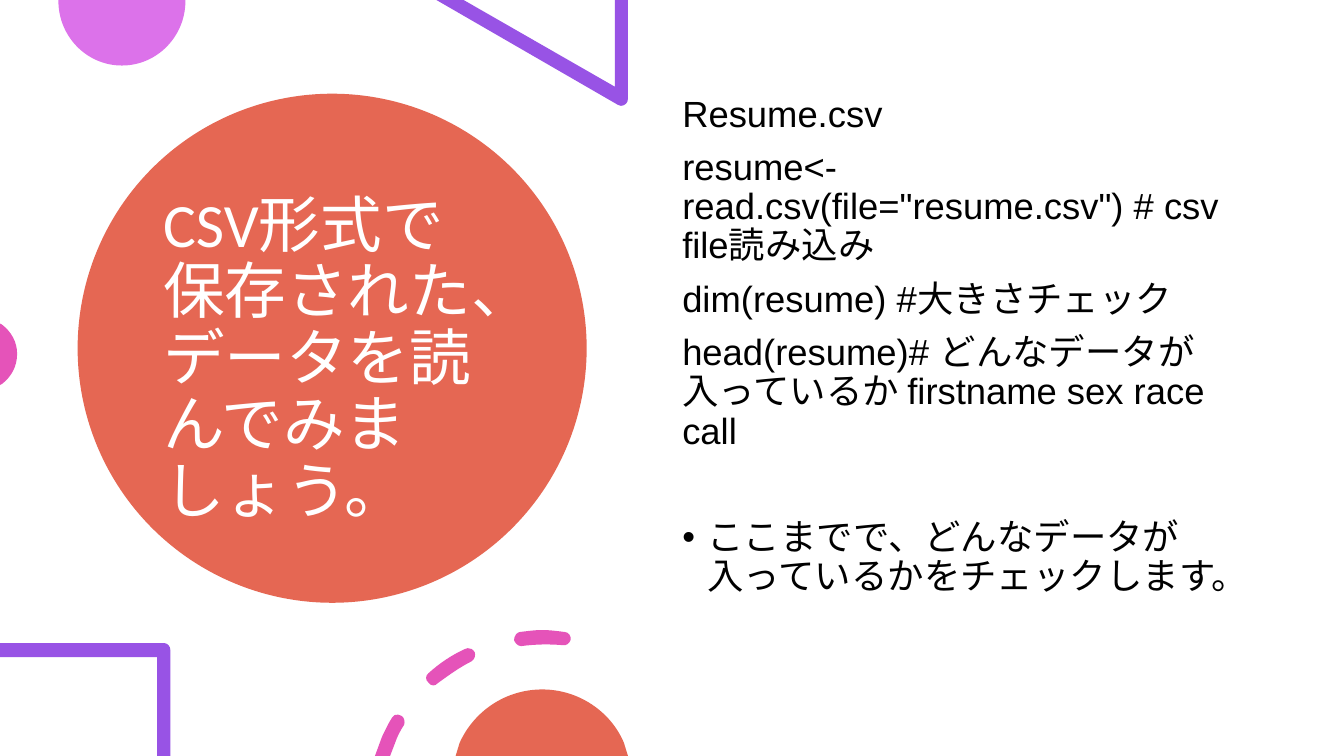
from dataclasses import dataclass

import pptx
import pptx.dml.color
import pptx.enum.lang
import pptx.enum.shapes
import pptx.enum.text
import pptx.util
from lxml import etree
from pptx.oxml import ns

Inches, Pt = pptx.util.Inches, pptx.util.Pt
RGBColor = pptx.dml.color.RGBColor
ANCHOR = pptx.enum.text.MSO_ANCHOR
SHAPE = pptx.enum.shapes.MSO_SHAPE

ORANGE = RGBColor(0xE5, 0x67, 0x53)
ORCHID = RGBColor(0xDC, 0x72, 0xEA)
PURPLE = RGBColor(0x98, 0x53, 0xE5)
PINK = RGBColor(0xE5, 0x53, 0xB9)
WHITE = RGBColor(0xFF, 0xFF, 0xFF)
BLACK = RGBColor(0, 0, 0)

# A contour is a start point followed by lines (x, y)
# and cubic curves (x1, y1, x2, y2, x, y), in inches.
Contour = list[tuple[float, ...]]


@dataclass
class Outline:
    color: RGBColor
    contours: list[Contour]


@dataclass
class Para:
    text: str
    size: float
    font: str
    color: RGBColor
    before: float = 0
    bullet: bool = False


def paint(sp, color: RGBColor) -> None:
    sp.shadow.inherit = False
    sp.fill.solid()
    sp.fill.fore_color.rgb = color
    sp.line.fill.background()


def add_preset(slide, kind, box: tuple[float, ...], color: RGBColor) -> None:
    paint(slide.shapes.add_shape(kind, *map(Inches, box)), color)


def add_outline(slide, outline: Outline) -> None:
    first, *rest = [[(Inches(seg[-2]), Inches(seg[-1])) for seg in contour]
                    for contour in outline.contours]
    builder = slide.shapes.build_freeform(*first[0])
    builder.add_line_segments(first[1:], close=True)
    for points in rest:
        builder.move_to(*points[0])
        builder.add_line_segments(points[1:], close=True)
    sp = builder.convert_to_shape()
    paint(sp, outline.color)
    bend_segments(sp, [seg for contour in outline.contours
                       for seg in contour[1:]])


def bend_segments(sp, segments: Contour) -> None:
    """Give the segments that have control points their curves."""
    lines = list(sp._element.iter(ns.qn("a:lnTo")))
    for line, seg in zip(lines, segments):
        if len(seg) == 2:
            continue
        line.tag = ns.qn("a:cubicBezTo")
        for i in (0, 2):
            pt = etree.Element(ns.qn("a:pt"),
                               x=str(Inches(seg[i]) - sp.left),
                               y=str(Inches(seg[i + 1]) - sp.top))
            line.insert(i // 2, pt)


def add_text(slide, box: tuple[float, ...], paras: list[Para], anchor) -> None:
    tf = slide.shapes.add_textbox(*map(Inches, box)).text_frame
    tf.word_wrap = True
    tf.vertical_anchor = anchor
    for i, para in enumerate(paras):
        p = tf.add_paragraph() if i else tf.paragraphs[0]
        r = p.add_run()
        r.text = para.text
        r.font.language_id = pptx.enum.lang.MSO_LANGUAGE_ID.JAPANESE
        p.line_spacing = 0.9
        p.space_before = Pt(para.before)
        p.font.size = Pt(para.size)
        p.font.name = para.font
        p.font.color.rgb = para.color
        if para.bullet:
            add_bullet(p)


def add_bullet(p) -> None:
    pPr = p._p.get_or_add_pPr()
    pPr.set("marL", str(Inches(0.25)))
    pPr.set("indent", str(Inches(-0.25)))
    defRPr = pPr.find(ns.qn("a:defRPr"))
    defRPr.addprevious(etree.Element(ns.qn("a:buFont"), typeface="Arial"))
    defRPr.addprevious(etree.Element(ns.qn("a:buChar"), char="•"))


TOP_DISC = Outline(ORCHID, [[
    (1.84, 0), (0.58, 0), (0.58, 0.01),
    (0.58, 0.36, 0.86, 0.65, 1.21, 0.65),
    (1.56, 0.65, 1.84, 0.36, 1.84, 0.01)]])
TRIANGLE = Outline(PURPLE, [[
    (6.23, 0), (6.1, 0), (6.1, 0.86), (4.6, 0), (4.33, 0), (6.13, 1.04),
    (6.14, 1.05, 6.15, 1.05, 6.16, 1.05),
    (6.2, 1.05, 6.23, 1.02, 6.23, 0.98)]])
LEFT_DISC = Outline(PINK, [[
    (0, 3.21), (0, 3.82), (0.02, 3.81),
    (0.11, 3.74, 0.17, 3.64, 0.17, 3.51),
    (0.17, 3.39, 0.11, 3.29, 0.02, 3.22)]])
SQUARE = Outline(PURPLE, [[
    (1.63, 6.38), (0, 6.38), (0, 6.52), (1.56, 6.52), (1.56, 7.5),
    (1.69, 7.5), (1.69, 6.45),
    (1.69, 6.41, 1.66, 6.38, 1.63, 6.38)]])
DASHED_ARC = Outline(PINK, [
    [(3.95, 7.09),
     (3.93, 7.08, 3.9, 7.1, 3.89, 7.12),
     (3.85, 7.18, 3.82, 7.25, 3.79, 7.31),
     (3.72, 7.5), (3.87, 7.5), (3.92, 7.37),
     (3.94, 7.31, 3.97, 7.25, 4.01, 7.19),
     (4.02, 7.16, 4.01, 7.11, 3.98, 7.1),
     (3.97, 7.09, 3.96, 7.09, 3.95, 7.09)],
    [(4.64, 6.43),
     (4.63, 6.43, 4.62, 6.43, 4.61, 6.44),
     (4.48, 6.5, 4.36, 6.58, 4.25, 6.68),
     (4.22, 6.7, 4.22, 6.75, 4.25, 6.77),
     (4.26, 6.79, 4.28, 6.8, 4.3, 6.8),
     (4.32, 6.8, 4.33, 6.79, 4.34, 6.78),
     (4.45, 6.7, 4.56, 6.62, 4.68, 6.56),
     (4.71, 6.54, 4.72, 6.5, 4.71, 6.47),
     (4.69, 6.44, 4.67, 6.43, 4.64, 6.43)],
    [(5.38, 6.25),
     (5.31, 6.25, 5.24, 6.26, 5.16, 6.27),
     (5.13, 6.27, 5.1, 6.31, 5.1, 6.35),
     (5.11, 6.38, 5.14, 6.41, 5.17, 6.41),
     (5.32, 6.39, 5.45, 6.39, 5.58, 6.4),
     (5.62, 6.41, 5.65, 6.38, 5.66, 6.35),
     (5.67, 6.31, 5.64, 6.27, 5.6, 6.27),
     (5.53, 6.26, 5.45, 6.25, 5.38, 6.25)]])
BOTTOM_DISC = Outline(ORANGE, [[
    (5.38, 6.84),
    (5.01, 6.84, 4.7, 7.06, 4.56, 7.37),
    (4.52, 7.5), (6.23, 7.5), (6.19, 7.37),
    (6.06, 7.06, 5.74, 6.84, 5.38, 6.84)]])
OUTLINES = [TOP_DISC, TRIANGLE, LEFT_DISC, SQUARE, DASHED_ARC, BOTTOM_DISC]

TITLE = Para("CSV形式で保存された、データを読んでみましょう。", 44, "Calibri", WHITE)
CODE_LINES = [
    "Resume.csv",
    'resume<-read.csv(file="resume.csv") # csv file読み込み',
    "dim(resume) #大きさチェック",
    "head(resume)# どんなデータが入っているか firstname sex race call",
]
SUMMARY = "ここまでで、どんなデータが入っているかをチェックします。"


def main() -> None:
    prs = pptx.Presentation()
    width, height = 40 / 3, 7.5
    prs.slide_width, prs.slide_height = Inches(width), Inches(height)
    slide = prs.slides.add_slide(prs.slide_layouts[6])

    # White panel, and the title on its large circle
    add_preset(slide, SHAPE.RECTANGLE, (0, 0, width, height), WHITE)
    add_preset(slide, SHAPE.OVAL, (0.77, 0.93, 5.05, 5.05), ORANGE)
    add_text(slide, (1.52, 1.35, 3.54, 4.45), [TITLE], ANCHOR.MIDDLE)

    # Decorations cut off by the slide edges
    for outline in OUTLINES:
        add_outline(slide, outline)

    # Code lines, then the summary set apart below them
    body = [Para(text, 26, "Arial", BLACK, before=10) for text in CODE_LINES]
    body.append(Para(SUMMARY, 26, "Arial", BLACK, before=48, bullet=True))
    add_text(slide, (6.67, 0.9, 5.75, 5.35), body, ANCHOR.TOP)

    prs.save("out.pptx")


if __name__ == "__main__":
    main()
